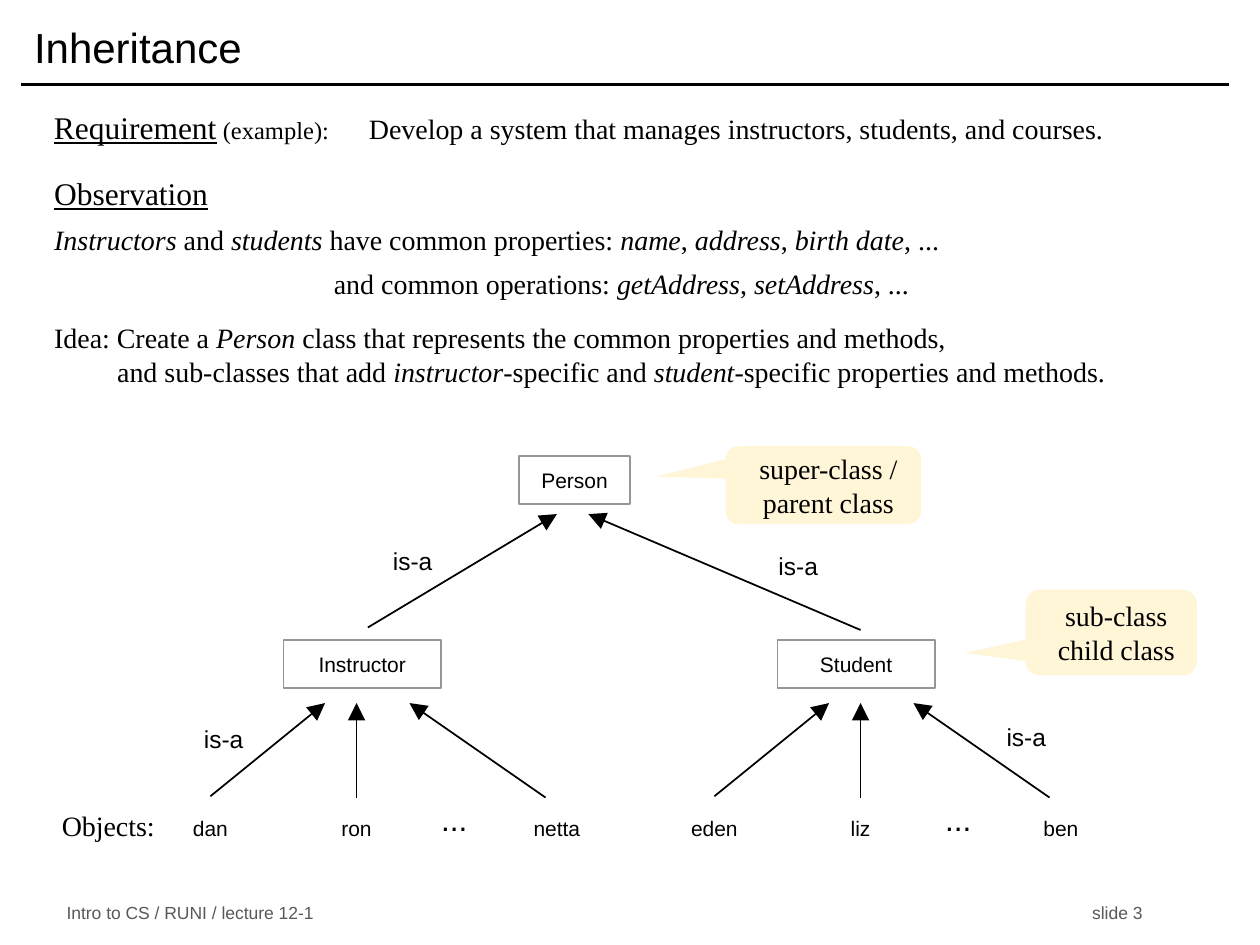
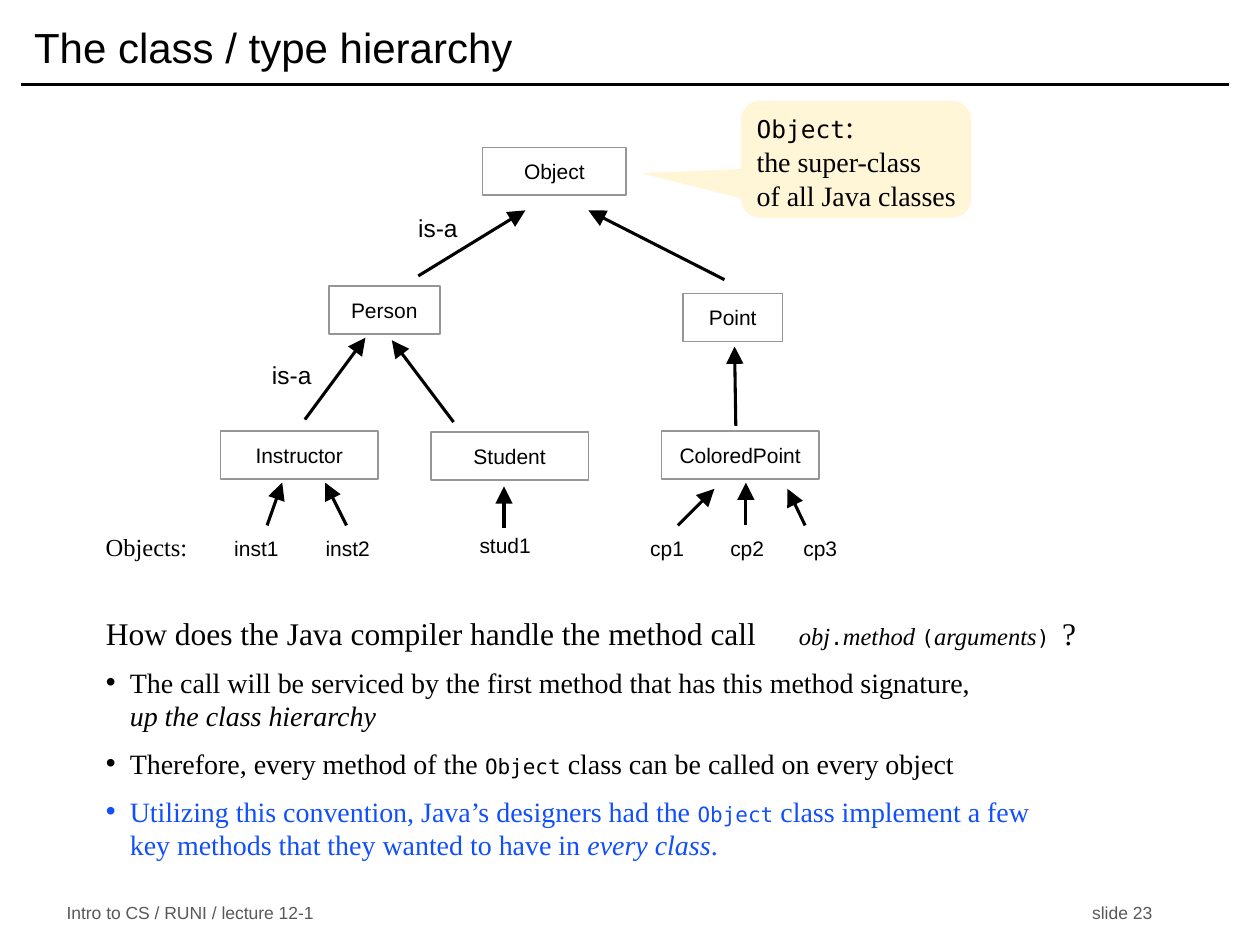
from collections import namedtuple

from lxml import etree
from pptx import Presentation
from pptx import util as u
from pptx.dml.color import RGBColor
from pptx.enum import shapes, text
from pptx.oxml.ns import qn

PX = 9144
BLACK = RGBColor(0x00, 0x00, 0x00)
WHITE = RGBColor(0xFF, 0xFF, 0xFF)
GRAY = RGBColor(0x96, 0x96, 0x96)
FOOTER_GRAY = RGBColor(0x59, 0x59, 0x59)
CREAM = RGBColor(0xFF, 0xF5, 0xD7)
BLUE = RGBColor(0x11, 0x4F, 0xFB)

SANS, SERIF, MONO = "Arial", "Times New Roman", "DejaVu Sans Mono"
LEFT, CENTER = text.PP_ALIGN.LEFT, text.PP_ALIGN.CENTER
TOP, MIDDLE = text.MSO_ANCHOR.TOP, text.MSO_ANCHOR.MIDDLE
KIND = shapes.MSO_SHAPE
TIGHT, ROOMY, CALLOUT = (0, 0, 0, 0), (10, 5, 10, 5), (8, 5, 0, 5)


class Box(namedtuple("Box", "left top width height")):
    def inside(self, left, top, width, height):
        return Box(self.left + left, self.top + top, width, height)

    def emu(self):
        return [value * PX for value in self]


def style(font, size, **extra):
    return {"name": font, "size": u.Pt(size), **extra}


TITLE = style(SANS, 24)
FOOTER = style(SANS, 10, color=FOOTER_GRAY)
HEADING = style(SERIF, 18)
UNDERLINED = {**HEADING, "underline": True}
BODY = style(SERIF, 16)
ITALIC = {**BODY, "italic": True}
SMALL = style(SERIF, 14)
SMALL_ITALIC = {**SMALL, "italic": True}
CODE = style(MONO, 12)
NODE = style(SANS, 12)
LINK = style(SANS, 14)
DOTS = style(SANS, 18)


def emphasis(words, base=BODY):
    return [(part, {**base, "italic": bool(index % 2)})
            for index, part in enumerate(words.split("*")) if part]


def apply(target, formats):
    for name, value in formats.items():
        setattr(target, name, value)


def write(para, spans, margin=0, hanging=0, bullet=None, tab=None, **formats):
    apply(para, formats)
    props = para._p.get_or_add_pPr()
    props.set("marL", str(margin * PX))
    props.set("indent", str(-hanging * PX))
    if bullet:
        etree.SubElement(props, qn("a:buChar")).set("char", bullet)
    else:
        etree.SubElement(props, qn("a:buNone"))
    if tab:
        stop = etree.SubElement(etree.SubElement(props, qn("a:tabLst")), qn("a:tab"))
        stop.set("pos", str(tab * PX))
        stop.set("algn", "l")
    for words, font in spans:
        for number, line in enumerate(words.split("\n")):
            if number:
                para.add_line_break()
            if line:
                span = para.add_run()
                span.text = line
                font = {"color": BLACK, **font}
                apply(span.font, {k: v for k, v in font.items() if k != "color"})
                span.font.color.rgb = font["color"]


def fill_frame(shape, paragraphs, anchor=MIDDLE, insets=TIGHT, wrap=True):
    frame = shape.text_frame
    sides = ("margin_left", "margin_top", "margin_right", "margin_bottom")
    apply(frame, {"word_wrap": wrap, "auto_size": text.MSO_AUTO_SIZE.NONE,
                  "vertical_anchor": anchor,
                  **{side: inset * PX for side, inset in zip(sides, insets)}})
    for index, (spans, formats) in enumerate(paragraphs):
        para = frame.add_paragraph() if index else frame.paragraphs[0]
        write(para, spans, **formats)


def add_label(page, box, words, font, align=CENTER, **frame):
    label = page.shapes.add_textbox(*box.emu())
    fill_frame(label, [([(words, font)], {"alignment": align})], **frame)


def add_link_labels(page, box, places):
    for left, top in places:
        add_label(page, box.inside(left, top, 79, 38), "is-a", LINK)


def add_shape(page, kind, box, paragraphs, fill=None, outline=None, **frame):
    shape = page.shapes.add_shape(kind, *box.emu())
    shape.shadow.inherit = False
    if fill is None:
        shape.fill.background()
    else:
        shape.fill.solid()
        shape.fill.fore_color.rgb = fill
    if outline is None:
        shape.line.fill.background()
    else:
        shape.line.color.rgb = outline
        shape.line.width = u.Pt(1)
    fill_frame(shape, paragraphs, **frame)
    return shape


def centered(*lines, font=NODE):
    return [([(line, font)], {"alignment": CENTER}) for line in lines]


def add_classes(page, box, classes):
    for name, left, top, width in classes:
        add_shape(page, KIND.RECTANGLE, box.inside(left, top, width, 38),
                  centered(name), outline=GRAY)


def add_objects(page, box, objects):
    for name, left, top, width in objects:
        add_shape(page, KIND.OVAL, box.inside(left, top, width, 36),
                  centered(name), wrap=False)


def add_callout(page, box, pointer, paragraphs):
    callout = add_shape(page, KIND.ROUNDED_RECTANGULAR_CALLOUT, box, paragraphs,
                        fill=CREAM, insets=CALLOUT)
    for index, value in enumerate((*pointer, 0.167)):
        callout.adjustments[index] = value


def add_line(page, box, ends, width, arrow=False):
    x1, y1, x2, y2 = ends
    line = page.shapes.add_connector(
        shapes.MSO_CONNECTOR.STRAIGHT, (box.left + x1) * PX, (box.top + y1) * PX,
        (box.left + x2) * PX, (box.top + y2) * PX)
    line.line.color.rgb = BLACK
    line.line.width = u.Pt(width)
    props = line._element.spPr
    if arrow:
        head = etree.SubElement(props.find(qn("a:ln")), qn("a:tailEnd"))
        for name, value in (("type", "triangle"), ("w", "lg"), ("len", "lg")):
            head.set(name, value)
    etree.SubElement(props, qn("a:effectLst"))


def add_arrows(page, box, arrows, width):
    for ends in arrows:
        add_line(page, box, ends, width, arrow=True)


def place(holder, box, paragraphs, anchor):
    apply(holder, dict(zip(("left", "top", "width", "height"), box.emu())))
    fill_frame(holder, paragraphs, anchor=anchor, insets=ROOMY)


def add_page(deck, title, number, body_box, body):
    page = deck.slides.add_slide(deck.slide_layouts[1])
    frame = Box(17, 8, 958, 58)
    place(page.shapes.title, frame, [([(title, TITLE)], {"alignment": LEFT})], MIDDLE)
    place(page.placeholders[1], body_box, body, TOP)
    add_line(page, frame, (0, 59, 958, 59), 2)
    for words, left in (("Intro to CS / RUNI / lecture 12-1", 43), (f"slide {number}", 857)):
        add_label(page, Box(left, 714, 300 if left < 100 else 100, 21), words, FOOTER,
                  align=LEFT, insets=ROOMY)
    return page


def add_requirement(page, box):
    spans = [("Requirement", UNDERLINED), (" (example):", SMALL),
             ("\tDevelop a system that manages instructors, students, and courses.", BODY)]
    fill_frame(page.shapes.add_textbox(*box.emu()),
               [(spans, {"tab": 238, "line_spacing": u.Pt(25.6)})],
               anchor=TOP, insets=ROOMY)


def add_family(page, box, names):
    add_objects(page, box, [(name, left, 81, 100)
                            for name, left in zip(names, (0, 116, 275))])
    add_label(page, box.inside(204, 73, 79, 38), "...", DOTS)
    add_arrows(page, box, [(50, 74, 141, 0), (166, 75, 166, 0), (316, 75, 208, 0)], 1)


def add_person_tree(page, box):
    add_classes(page, box, [("Person", 402, 12, 88), ("Instructor", 215, 158, 125),
                            ("Student", 607, 158, 125)])
    add_arrows(page, box, [(282, 148, 432, 58), (673, 150, 457, 58)], 1)
    add_link_labels(page, box, [(278, 76), (584, 80), (128, 217), (765, 216)])
    add_label(page, box.inside(1, 286, 150, 38), "Objects:", BODY)
    for left, names in ((107, ("dan", "ron", "netta")), (507, ("eden", "liz", "ben"))):
        add_family(page, box.inside(left, 208, 375, 117), names)
    add_callout(page, box.inside(566, 4, 155, 62), (-0.857, -0.107),
                centered("super-class / parent class", font=BODY))
    add_callout(page, box.inside(804, 118, 136, 68), (-0.857, 0.239),
                centered("sub-class", "child class", font=BODY))


def add_object_tree(page, box):
    add_classes(page, box, [
        ("Object", 313, 37, 114), ("Person", 191, 147, 88), ("Point", 472, 153, 79),
        ("Instructor", 105, 262, 125), ("Student", 272, 263, 125),
        ("ColoredPoint", 455, 262, 125)])
    add_objects(page, box, [
        ("inst1", 104, 337, 59), ("inst2", 180, 337, 52), ("stud1", 305, 335, 52),
        ("cp1", 430, 337, 59), ("cp2", 497, 337, 52), ("cp3", 555, 337, 52)])
    add_arrows(page, box, [
        (262, 139, 347, 87), (505, 142, 397, 87), (172, 253, 220, 188),
        (290, 255, 241, 190), (514, 258, 513, 195), (142, 337, 154, 303),
        (205, 337, 188, 303), (330, 339, 330, 306), (468, 337, 497, 308),
        (522, 337, 522, 303), (569, 337, 555, 308)], 1.75)
    add_link_labels(page, box, [(238, 82), (122, 198)])
    add_shape(page, KIND.RECTANGLE, box.inside(4, 337, 86, 33),
              [([("Objects:", SMALL)], {"alignment": LEFT})], fill=WHITE,
              anchor=TOP, insets=ROOMY, wrap=False)
    spans = [("Object", style(MONO, 14)), (":\n", HEADING),
             ("the super-class\nof all Java classes", BODY)]
    add_callout(page, box.inside(518, 0, 183, 93), (-0.935, 0.118),
                [(spans, {"alignment": LEFT})])


def build_inheritance(deck):
    near, far = {"space_before": u.Pt(6)}, {"space_before": u.Pt(12)}
    body = [
        ([("Observation", UNDERLINED)], {"space_before": u.Pt(0)}),
        (emphasis("*Instructors* and *students* have common properties: "
                  "*name*, *address*, *birth date*, ..."), near),
        (emphasis("and common operations: *getAddress*, *setAddress*, ..."),
         {"margin": 222, **near}),
        (emphasis("Idea: Create a *Person* class that represents the common properties "
                  "and methods,\nand sub-classes that add *instructor*-specific and "
                  "*student*-specific properties and methods."),
         {"margin": 50, "hanging": 50, **far})]
    page = add_page(deck, "Inheritance", 3, Box(33, 133, 933, 186), body)
    add_requirement(page, Box(33, 75, 875, 67))
    add_person_tree(page, Box(10, 350, 940, 330))


def build_hierarchy(deck):
    item = {"margin": 19, "hanging": 19, "bullet": "•", "space_before": u.Pt(8)}
    blue_body, blue_code = {**BODY, "color": BLUE}, {**CODE, "color": BLUE}
    body = [
        ([("How does the Java compiler handle the method call\t", HEADING),
          ("obj", SMALL_ITALIC), (".", CODE), ("method ", SMALL_ITALIC), ("(", CODE),
          ("arguments", SMALL_ITALIC), (") ", CODE), ("?", HEADING)],
         {"tab": 529, "space_before": u.Pt(0)}),
        (emphasis("The call will be serviced by the first method that has this method "
                  "signature,\n*up the class hierarchy*"), item),
        ([("Therefore, every method of the ", BODY), ("Object", CODE),
          (" class can be called on every object", BODY)], item),
        ([("Utilizing this convention, Java’s designers had the ", blue_body),
          ("Object", blue_code),
          *emphasis(" class implement a few\nkey methods that they wanted to have in "
                    "*every class*.", blue_body)], item)]
    page = add_page(deck, "The class / type hierarchy", 23, Box(74, 482, 799, 201), body)
    add_object_tree(page, Box(70, 80, 710, 380))


def main():
    deck = Presentation()
    deck.slide_width, deck.slide_height = 1000 * PX, 750 * PX
    build_inheritance(deck)
    build_hierarchy(deck)
    deck.save("out.pptx")


if __name__ == "__main__":
    main()
